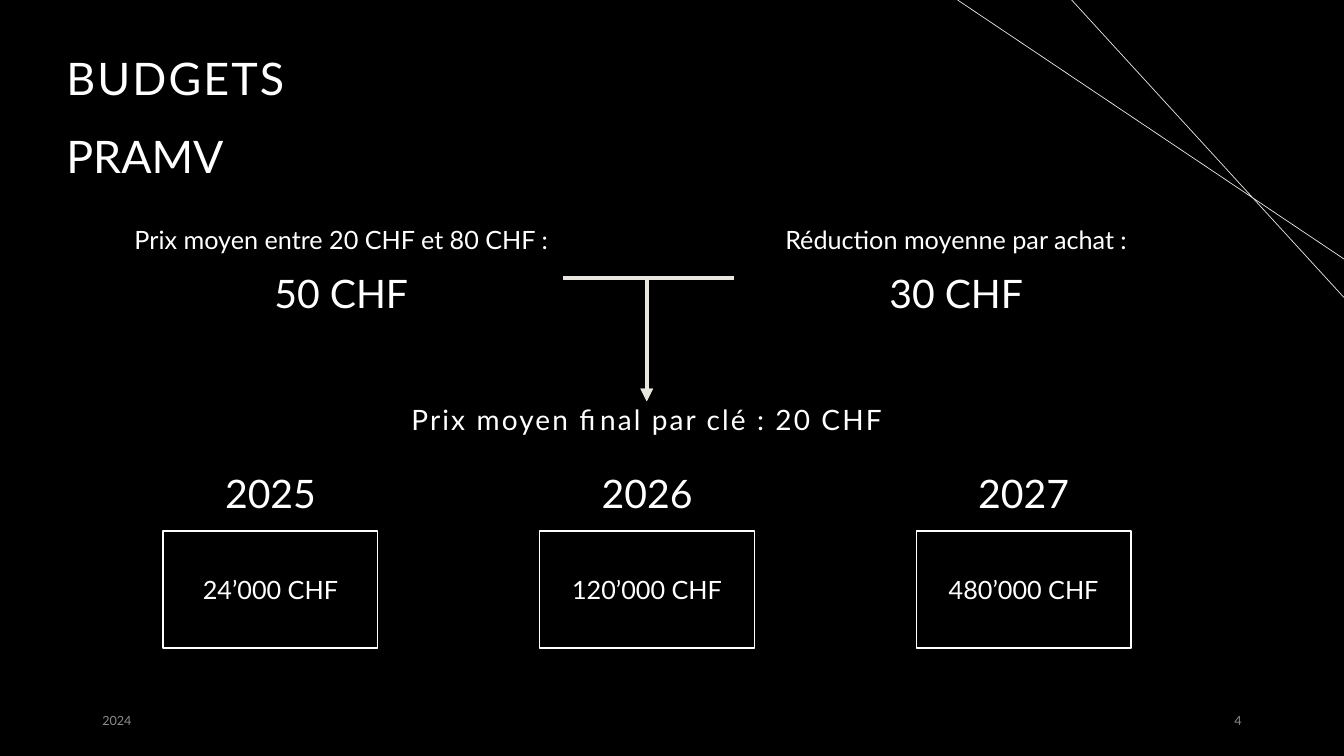
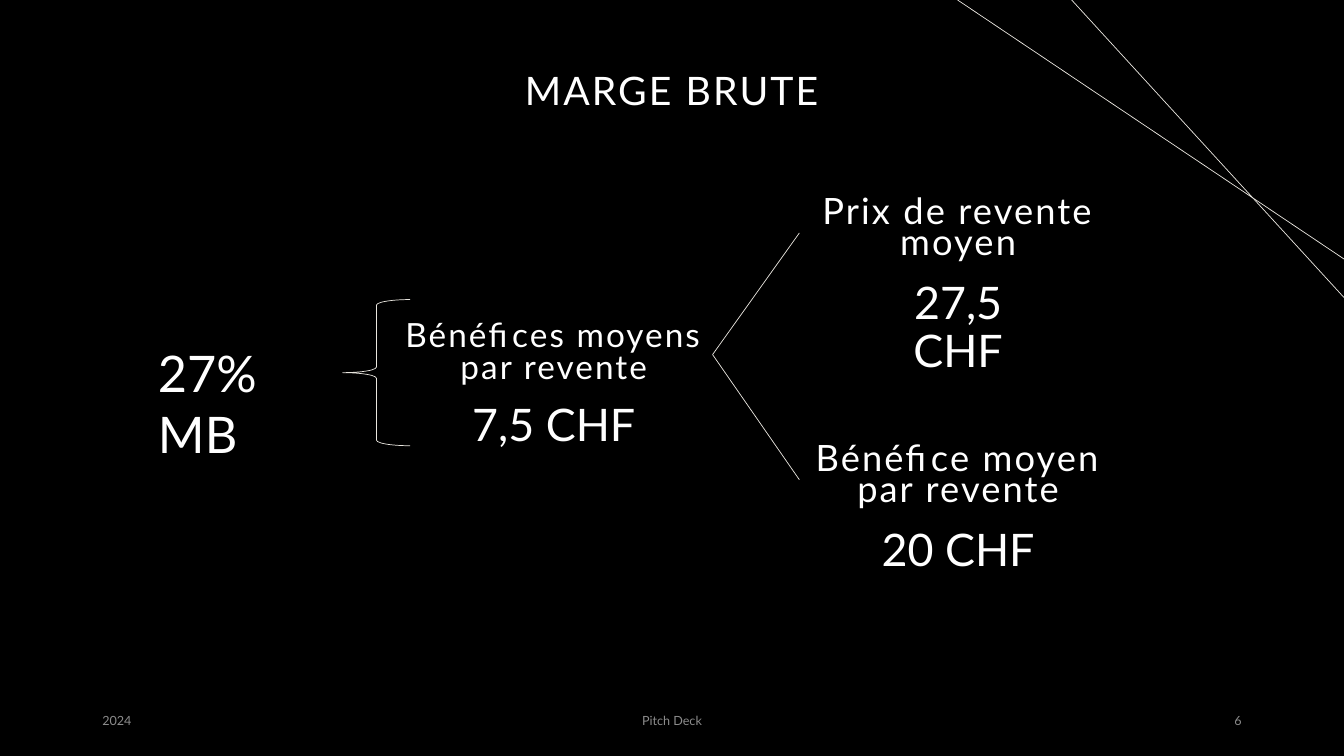
from lxml import etree
from pptx import Presentation
from pptx.dml.color import RGBColor
from pptx.enum import shapes, text
from pptx.oxml.ns import qn
from pptx.util import Pt

HEX = {"back": "000000", "ink": "FFFFFF", "line": "E9E6DF", "foot": "8C8C8C"}
FONT = "Lato"
MID = text.MSO_ANCHOR.MIDDLE
TOP = text.MSO_ANCHOR.TOP
LEFT, MID_X, RIGHT = text.PP_ALIGN.LEFT, text.PP_ALIGN.CENTER, text.PP_ALIGN.RIGHT
LINK = shapes.MSO_CONNECTOR

# Paragraph formats shared by both slides
BODY = {"alignment": MID_X, "space_before": Pt(10)}
TIGHT = {**BODY, "line_spacing": 0.9}
HEAD = {"line_spacing": 0.9}


def tint(name):
    return RGBColor.from_string(HEX[name])


def pts(*nums):
    return [Pt(n) for n in nums]


def write(shape, lines, para=None, anchor=TOP, ink="ink"):
    """Fill a shape with lines of (words, size, letter spacing)."""
    frame = shape.text_frame
    frame.word_wrap = True
    frame.vertical_anchor = anchor
    for i, (words, size, gap) in enumerate(lines):
        p = frame.add_paragraph() if i else frame.paragraphs[0]
        for key, val in (para or {}).items():
            setattr(p, key, val)
        run = p.add_run()
        run.text = words
        for key, val in {"name": FONT, "size": Pt(size)}.items():
            setattr(run.font, key, val)
        run.font.color.rgb = tint(ink)
        if gap:
            run.font._element.set("spc", str(int(gap * 100)))
    return shape


def label(slide, box, lines, para=None, **opts):
    return write(slide.shapes.add_textbox(*pts(*box)), lines, para, **opts)


def panel(slide, kind, box, line, width, fill=None):
    shape = slide.shapes.add_shape(kind, *pts(*box))
    shape.shadow.inherit = False
    if fill:
        shape.fill.solid()
        shape.fill.fore_color.rgb = tint(fill)
    else:
        shape.fill.background()
    shape.line.color.rgb = tint(line)
    shape.line.width = Pt(width)
    return shape


def wire(slide, start, end, width=0.5, kind=LINK.STRAIGHT):
    link = slide.shapes.add_connector(kind, *pts(*start, *end))
    link.line.color.rgb = tint("line")
    link.line.width = Pt(width)
    etree.SubElement(link._element.spPr, qn("a:effectLst"))
    return link


def elbow(slide, start, end):
    """Arrow that runs level, then turns once towards its end."""
    link = wire(slide, start, end, 3, LINK.ELBOW)
    link._element.spPr.find(qn("a:prstGeom")).set("prst", "bentConnector2")
    tip = etree.SubElement(link.line._get_or_add_ln(), qn("a:tailEnd"))
    tip.set("type", "triangle")


def base(deck, page, note=None):
    """Blank slide with the corner lines and the footer."""
    slide = deck.slides.add_slide(deck.slide_layouts[6])
    wire(slide, (684, 0), (960, 185))
    wire(slide, (765.5, 0), (960, 212.5))
    foot = [("2024", 66, 216, LEFT), (note, 318, 324, MID_X), (page, 678, 216, RIGHT)]
    for words, x, w, side in foot:
        if words:
            label(slide, (x, 500.4, w, 28.8), [(words, 9, 0)],
                  {"alignment": side}, anchor=MID, ink="foot")
    return slide


def price(slide, x, y, w, h, words, value):
    label(slide, (x, y, w, h), [(words, 18, 0), (value, 28, 0)], BODY)


def year(slide, x, y, w, h, name, value):
    """Year above a framed amount, both of one width."""
    label(slide, (x, y - 47.4, w, 41), [(name, 28, 0)], {"alignment": MID_X})
    frame = panel(slide, shapes.MSO_SHAPE.RECTANGLE, (x, y, w, h), "ink", 1, "back")
    write(frame, [(value, 18, 0)], {"alignment": MID_X}, anchor=MID)


def term(slide, x, y, words, size, space, value):
    """Heading with its value centred below; returns the heading."""
    w, inner = 226.8, 142.6
    head = label(slide, (x, y, w, 53.4), [(words, size, 1.5)],
                 {**BODY, "line_spacing": space})
    label(slide, (x + (w - inner) / 2, y + 57.2, inner, 44.6), [(value, 32, 0)], TIGHT)
    return head


def budgets(deck):
    slide = base(deck, "4")
    label(slide, (40.3, 16.6, 403, 82), [("BUDGETS", 32, 1.5)], HEAD, anchor=MID)
    label(slide, (40.3, 88.2, 323, 46), [("PRAMV", 32, 0)])

    # Two prices that lead to the final one
    y, w, h, left, right = 157, 317.5, 83.5, 85, 524.2
    price(slide, left, y, w, h, "Prix moyen entre 20 CHF et 80 CHF :", "50 CHF")
    price(slide, right, y, w, h, "Réduction moyenne par achat :", "30 CHF")
    label(slide, (222, 286.6, 480, 56),
          [("Prix moyen final par clé : 20 CHF", 20, 1.5)], TIGHT)
    for x in (left + w, right):
        elbow(slide, (x, y + h / 2), (462, 286.6))

    # Yearly amounts
    sums = [("2025", "24’000 CHF"), ("2026", "120’000 CHF"), ("2027", "480’000 CHF")]
    for i, (name, value) in enumerate(sums):
        year(slide, 116.5 + 269 * i, 379.4, 153.4, 83.5, name, value)


def margin(deck):
    slide = base(deck, "6", "Pitch Deck")
    label(slide, (148.3, 14, 663, 104.4), [("MARGE BRUTE", 28, 1.5)],
          {**HEAD, "alignment": MID_X}, anchor=MID)

    # Result and brace
    label(slide, (105.8, 241, 136.8, 51), [("27% MB", 36, 0)])
    panel(slide, shapes.MSO_SHAPE.LEFT_BRACE, (244.8, 214, 48.2, 104.4), "line", 0.5)

    # Root term, split into two branches
    root = term(slide, 282.2, 226.6, "Bénéfices moyens par revente", 23.8, 0.8, "7,5 CHF")
    parts = [(139.7, "Prix de revente moyen", "27,5 CHF"),
             (316, "Bénéfice moyen par revente", "20 CHF")]
    for y, words, value in parts:
        leaf = term(slide, 571, y, words, 25.9, 0.7, value)
        link = wire(slide, (509, 253.3), (571, y + 26.7))
        link.begin_connect(root, 3)
        link.end_connect(leaf, 1)


def main():
    deck = Presentation()
    deck.slide_width, deck.slide_height = pts(960, 540)
    fill = deck.slide_master.background.fill
    fill.solid()
    fill.fore_color.rgb = tint("back")
    budgets(deck)
    margin(deck)
    deck.save("out.pptx")


if __name__ == "__main__":
    main()
